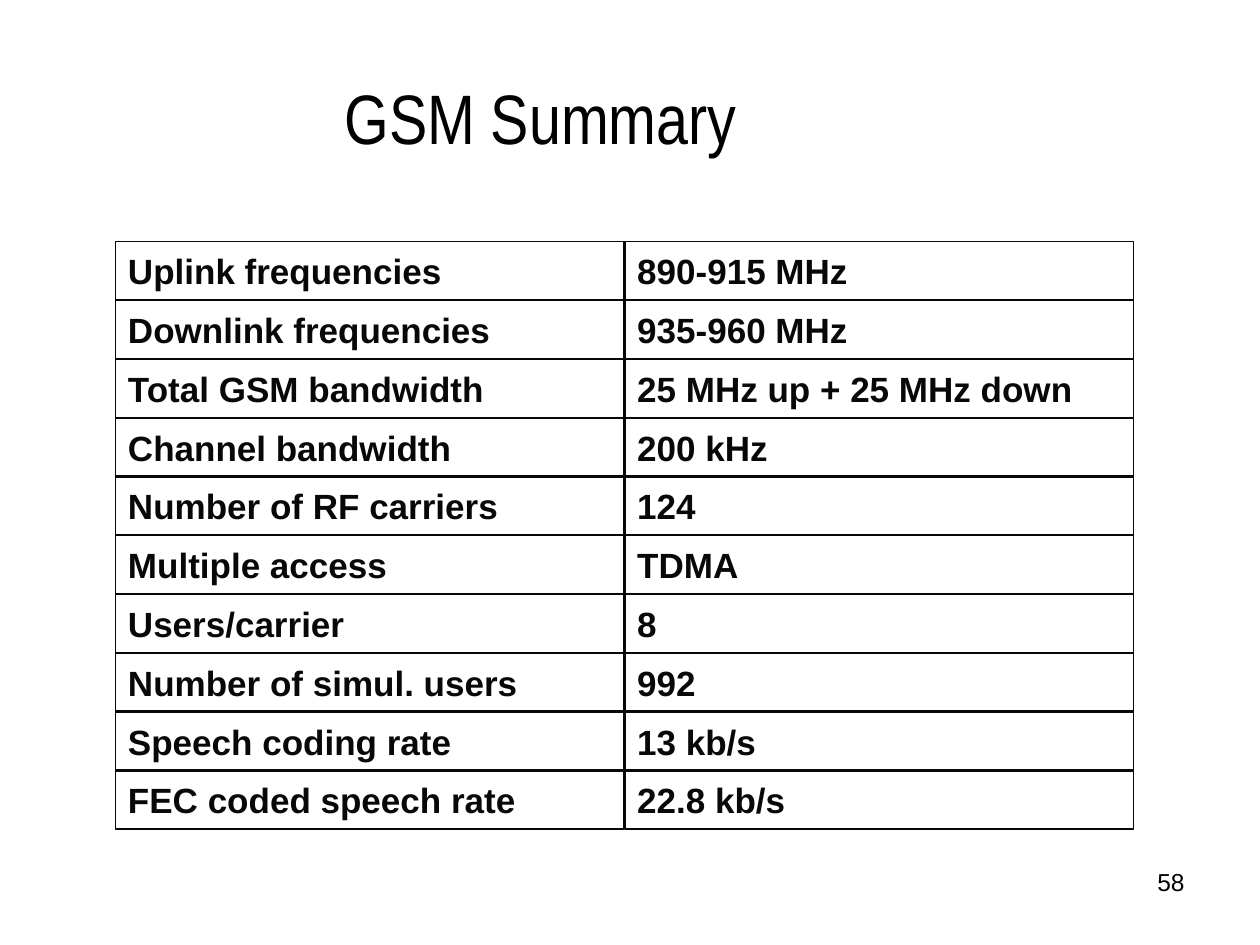
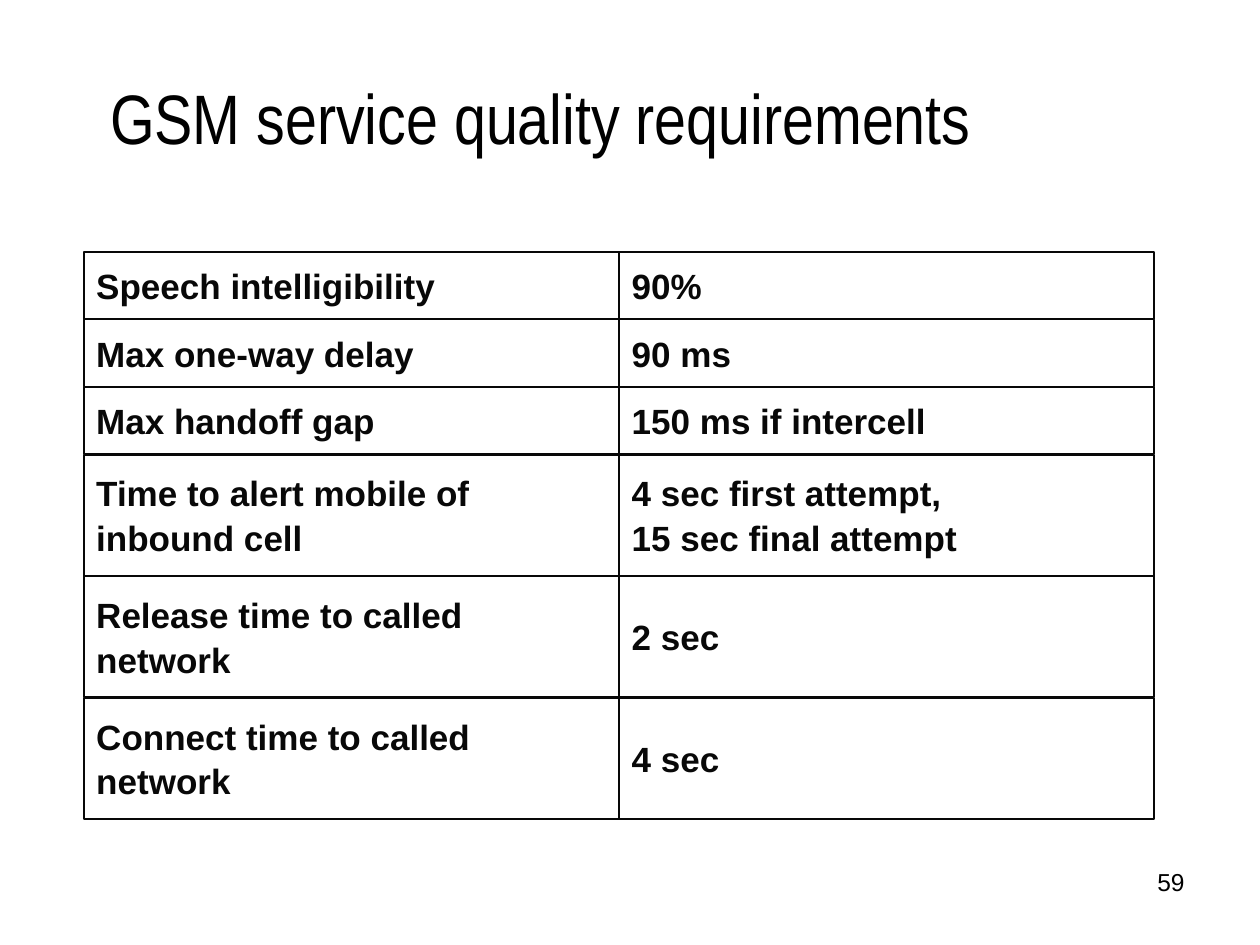
"""Build two GSM slides, each with a title, a two-column grid and a page number."""
from dataclasses import dataclass

from pptx import Presentation
from pptx.dml.color import RGBColor
from pptx.enum import shapes, text
from pptx.util import Cm, Pt


@dataclass(frozen=True)
class Theme:
    """Colours, fonts, sizes and line widths that the slides share."""
    ink: str = "000000"
    grid: str = "080808"
    head: str = "Arial Narrow"
    body: str = "Arial"
    title: float = 40
    cell: float = 20
    page: float = 14
    edge: float = 1
    lead: float = 1.5
    gap: float = 0.01


THEME = Theme()
TITLE = (1.27, 0.76, 19.25, 3.18)
PAGE = (18.21, 17.35, 5.92, 1.32)

SUMMARY = [
    ("Uplink frequencies", "890-915 MHz"),
    ("Downlink frequencies", "935-960 MHz"),
    ("Total GSM bandwidth", "25 MHz up + 25 MHz down"),
    ("Channel bandwidth", "200 kHz"),
    ("Number of RF carriers", "124"),
    ("Multiple access", "TDMA"),
    ("Users/carrier", "8"),
    ("Number of simul. users", "992"),
    ("Speech coding rate", "13 kb/s"),
    ("FEC coded speech rate", "22.8 kb/s"),
]
QUALITY = [
    ("Speech intelligibility", "90%"),
    ("Max one-way delay", "90 ms"),
    ("Max handoff gap", "150 ms if intercell"),
    ("Time to alert mobile of\ninbound cell",
     "4 sec first attempt,\n15 sec final attempt"),
    ("Release time to called\nnetwork", "2 sec"),
    ("Connect time to called\nnetwork", "4 sec"),
]


def write(shape, words, face, size, color, align, anchor, bold=False, lead=0):
    """Put words in a shape and give every paragraph one look."""
    frame = shape.text_frame
    frame.word_wrap = True
    frame.vertical_anchor = anchor
    frame.text = words
    for para in frame.paragraphs:
        para.alignment = align
        para.space_before = Pt(lead)
        para.font.name = face
        para.font.size = Pt(size)
        para.font.bold = bold
        para.font.color.rgb = RGBColor.from_string(color)


def label(slide, box, words, face, size, align, anchor):
    """Place a line of plain text in a box."""
    shape = slide.shapes.add_textbox(*map(Cm, box))
    write(shape, words, face, size, THEME.ink, align, anchor)


def cell(group, box, words):
    """Place one outlined cell with bold text."""
    shape = group.shapes.add_shape(shapes.MSO_SHAPE.RECTANGLE, *map(Cm, box))
    shape.shadow.inherit = False
    shape.fill.background()
    shape.line.color.rgb = RGBColor.from_string(THEME.grid)
    shape.line.width = Pt(THEME.edge)
    write(shape, words, THEME.body, THEME.cell, THEME.grid,
          text.PP_ALIGN.LEFT, text.MSO_ANCHOR.MIDDLE, True, THEME.lead)


def grid(slide, box, rows):
    """Fill a box with cells whose heights follow their line counts."""
    left, top, width, height = box
    group = slide.shapes.add_group_shape()
    shares = [4 * max(words.count("\n") + 1 for words in row) + 1
              for row in rows]
    for row, share in zip(rows, shares):
        tall, wide = height * share / sum(shares), width / len(row)
        for c, words in enumerate(row):
            cell(group, (left + c * wide, top,
                         wide - THEME.gap, tall - THEME.gap), words)
        top += tall


def sheet(deck, title, box, rows, page):
    """Add a slide with a title, a grid and a page number."""
    slide = deck.slides.add_slide(deck.slide_layouts[6])
    label(slide, TITLE, title, THEME.head, THEME.title,
          text.PP_ALIGN.CENTER, text.MSO_ANCHOR.MIDDLE)
    grid(slide, box, rows)
    label(slide, PAGE, str(page), THEME.body, THEME.page,
          text.PP_ALIGN.RIGHT, text.MSO_ANCHOR.TOP)


def main():
    """Build and save the deck."""
    deck = Presentation()
    deck.slide_width, deck.slide_height = Cm(25.4), Cm(19.05)
    sheet(deck, "GSM Summary", (2.33, 4.87, 20.53, 11.85), SUMMARY, 58)
    sheet(deck, "GSM service quality requirements",
          (1.69, 5.08, 21.59, 11.44), QUALITY, 59)
    deck.save("out.pptx")


if __name__ == "__main__":
    main()
